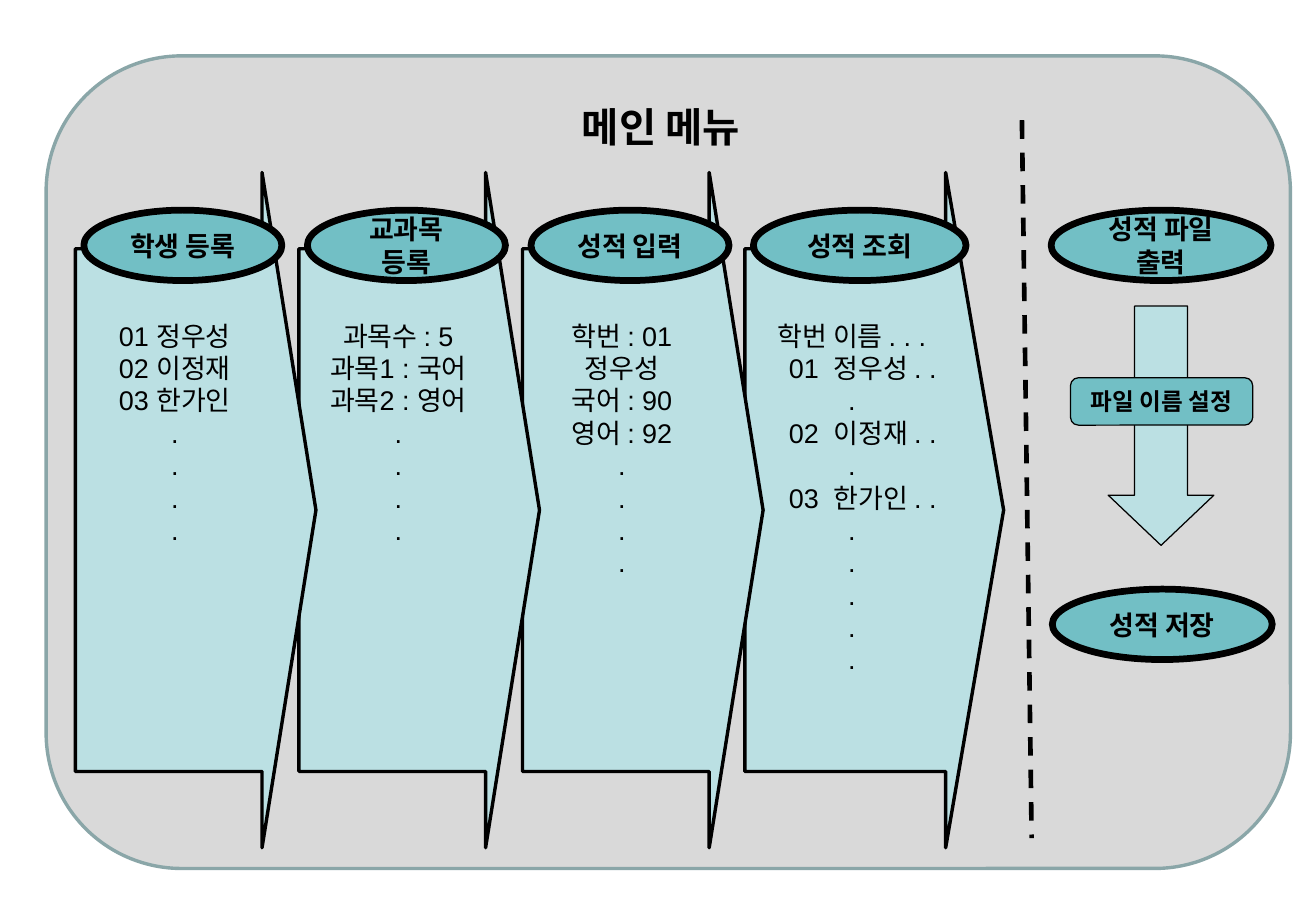
from lxml.etree import SubElement
from pptx import Presentation
from pptx.dml.color import RGBColor
from pptx.enum.dml import MSO_LINE
from pptx.enum.shapes import MSO_CONNECTOR, MSO_SHAPE
from pptx.enum.text import MSO_ANCHOR, PP_ALIGN
from pptx.oxml.ns import qn
from pptx.util import Inches, Pt

BLACK, GRAY, SAGE = "000000", "D9D9D9", "8AA6A8"
TEAL, PALE = "72BFC5", "BBE0E3"


def write_lines(shape, lines, size, bold, anchor, font_name="Arial"):
    frame = shape.text_frame
    frame.text = "\n".join(lines)
    frame.word_wrap = True
    frame.vertical_anchor = anchor
    for paragraph in frame.paragraphs:
        paragraph.alignment = PP_ALIGN.CENTER
        for run in paragraph.runs:
            values = {"name": font_name, "size": Pt(size), "bold": bold}
            for name, value in values.items():
                setattr(run.font, name, value)
            run.font.color.rgb = RGBColor.from_string(BLACK)


def add_block(kind, box, fill, line_width, line_color=BLACK, adjustments=()):
    shape = slide.shapes.add_shape(kind, *[Inches(length) for length in box])
    shape.shadow.inherit = False
    shape.fill.solid()
    shape.fill.fore_color.rgb = RGBColor.from_string(fill)
    shape.line.color.rgb = RGBColor.from_string(line_color)
    shape.line.width = Pt(line_width)
    for index, value in enumerate(adjustments):
        shape.adjustments[index] = value
    return shape


presentation = Presentation()
presentation.slide_width = Inches(10.83)
presentation.slide_height = Inches(7.5)
slide = presentation.slides.add_slide(presentation.slide_layouts[5])

panel = add_block(MSO_SHAPE.ROUNDED_RECTANGLE, (0.38, 0.46, 10.24, 6.69), GRAY, 2, SAGE)

title = slide.shapes.title
panel._element.addnext(title._element)
title_box = {"left": 3.44, "top": 0.79, "width": 4, "height": 0.55}
for name, value in title_box.items():
    setattr(title, name, Inches(value))
write_lines(title, ["메인 메뉴"], 24, True, MSO_ANCHOR.TOP, "Karla")

dots = ["."] * 4
students = ["01  정우성", "02  이정재", "03  한가인"]
menus = [
    (["학생 등록"], ["01 정우성", "02 이정재", "03 한가인"], 0.62, 1.98, 1.63),
    (["교과목", "등록"], ["과목수 : 5", "과목1 : 국어", "과목2 : 영어"], 2.46, 1.98, 1.63),
    (["성적 입력"], ["학번 : 01", "정우성", "국어 : 90", "영어 : 92"], 4.3, 1.98, 1.63),
    (["성적 조회"], ["학번 이름 . . .", *[f"{student} . .\v." for student in students]],
     6.13, 2.13, 1.75),
]
for heading, entries, left, arrow_width, oval_width in reversed(menus):
    arrow = add_block(MSO_SHAPE.RIGHT_ARROW, (left, 1.42, arrow_width, 5.56), PALE, 2,
                      adjustments=(0.774, 0.224))
    write_lines(arrow, entries + dots, 16, False, MSO_ANCHOR.TOP)
    margins = {"margin_top": 0.58, "margin_left": 0.04, "margin_right": 0.04}
    for name, value in margins.items():
        setattr(arrow.text_frame, name, Inches(value))
    for paragraph in arrow.text_frame.paragraphs:
        if "\v" in paragraph.text:
            paragraph._p.get_or_add_pPr().set("indent", str(Inches(0.18)))
    oval = add_block(MSO_SHAPE.OVAL, (left + 0.07, 1.73, oval_width, 0.58), TEAL, 4)
    write_lines(oval, heading, 16, True, MSO_ANCHOR.MIDDLE)

divider = slide.shapes.add_connector(
    MSO_CONNECTOR.STRAIGHT, Inches(8.41), Inches(0.99), Inches(8.49), Inches(6.9))
divider.line.color.rgb = RGBColor.from_string(BLACK)
divider.line.width = Pt(2.75)
divider.line.dash_style = MSO_LINE.DASH
SubElement(divider._element.spPr, qn("a:effectLst"))

add_block(MSO_SHAPE.DOWN_ARROW, (9.12, 2.52, 0.87, 1.97), PALE, 0.75,
          adjustments=(0.5, 0.475))
file_steps = [
    (MSO_SHAPE.OVAL, (8.65, 1.73, 1.81, 0.58), 4, "성적 파일 출력", 16),
    (MSO_SHAPE.ROUNDED_RECTANGLE, (8.81, 3.11, 1.5, 0.39), 0.75, "파일 이름 설정", 14),
    (MSO_SHAPE.OVAL, (8.66, 4.85, 1.81, 0.58), 4, "성적 저장", 16),
]
for kind, box, line_width, label, size in file_steps:
    step = add_block(kind, box, TEAL, line_width)
    write_lines(step, [label], size, True, MSO_ANCHOR.MIDDLE)

presentation.save("out.pptx")
